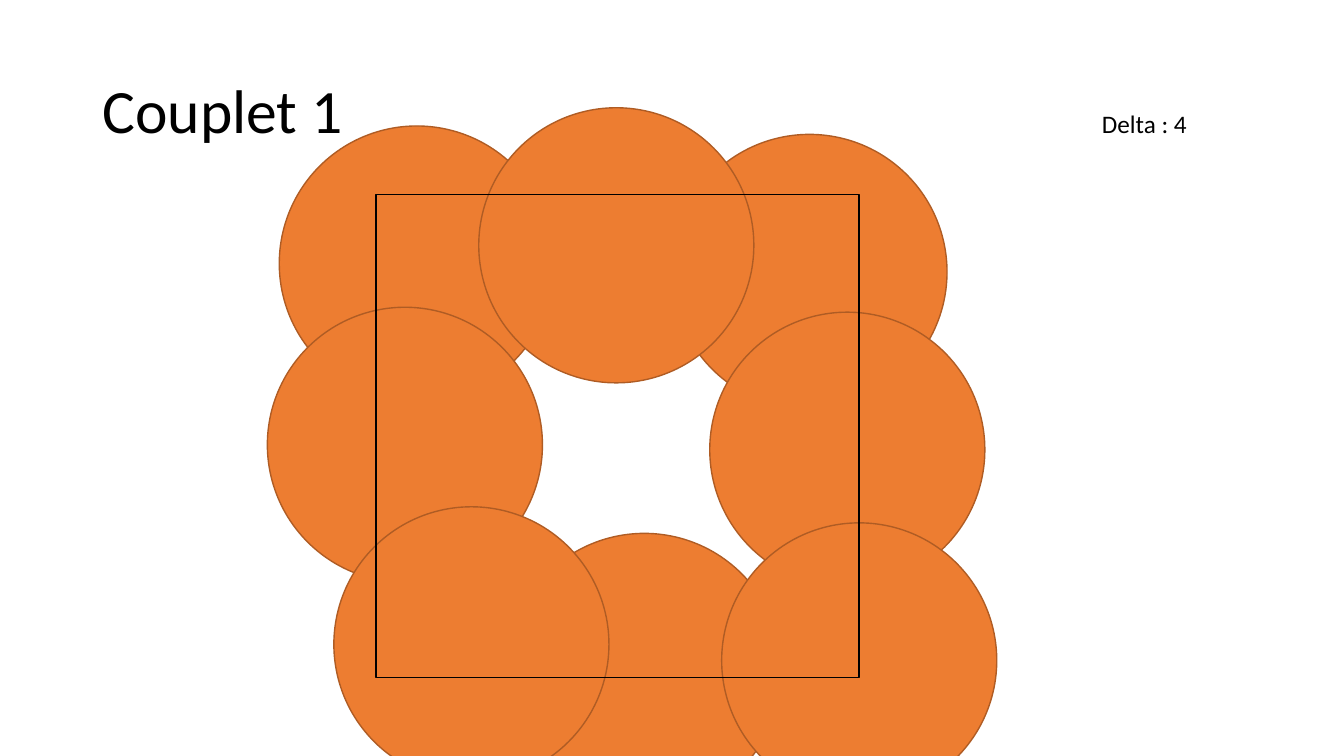
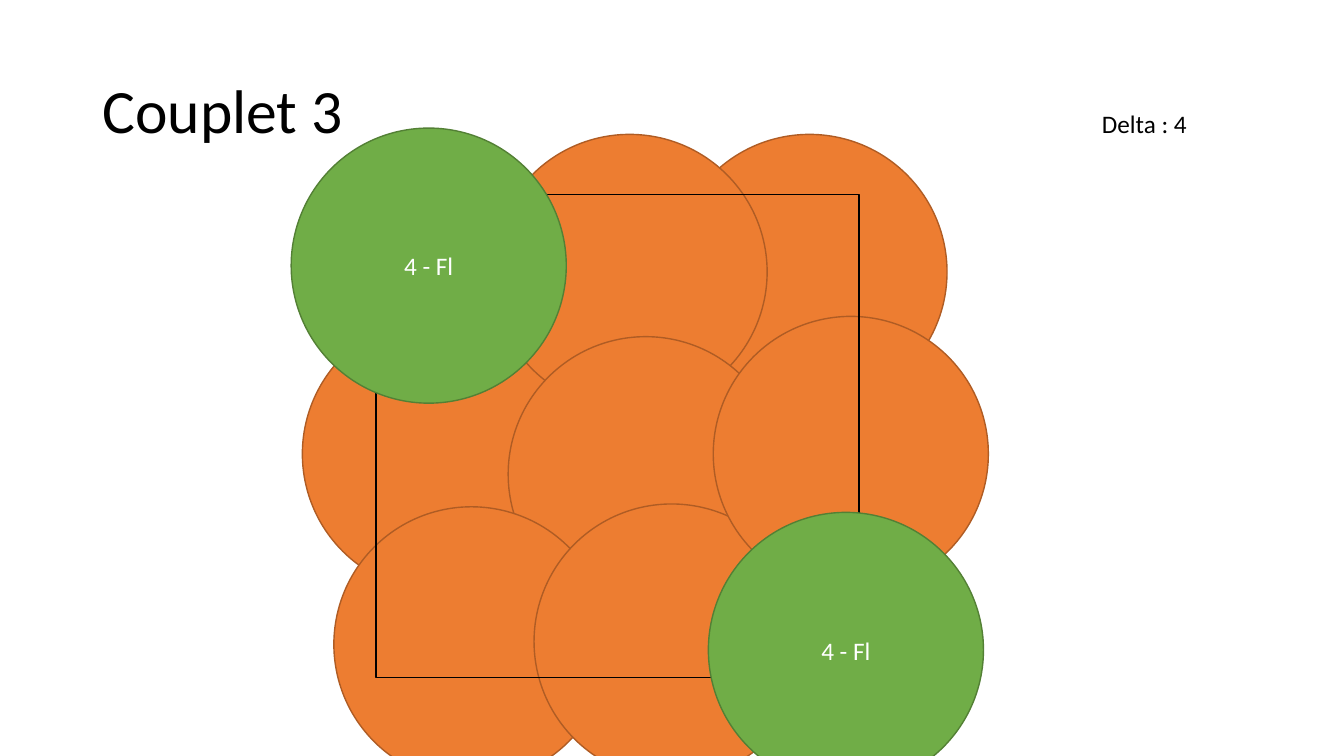
from pptx import Presentation
from pptx import util as u
from pptx.dml import color
from pptx.enum import shapes, text

COLORS = {
    "ink": "000000",
    "orange": "ED7D31",
    "orange_edge": "AF5C24",
    "green": "70AD47",
    "green_edge": "538035",
    "white": "FFFFFF",
}
FONT = "Calibri"
SLIDE_SIZE = (960, 540)
TITLE_BOX = (66, 28.75, 828, 104.5)
DELTA_BOX = (780, 73.5, 220, 29)
TARGET_BOX = (268.5, 139, 345, 345)
DISC_SIZE = 196.5

COUPLETS = [
    {
        "title": "Couplet 1",
        "delta": "Delta : 4",
        "discs": [(93.5, 242), (-69, -49), (211.5, -43), (-77.5, 80.5),
                  (73.5, -62), (-30, 223), (238.5, 84), (247, 234.5)],
        "labelled": [],
    },
    {
        "title": "Couplet 3",
        "delta": "Delta : 4",
        "discs": [(-52.5, 87), (211.5, -43), (83, -43), (94.5, 101.5),
                  (-30, 223), (113, 221), (241, 87)],
        "labelled": [(-60.5, -47.5, "4 - Fl"), (237.5, 227, "4 - Fl")],
    },
]


def rgb(name):
    return color.RGBColor.from_string(COLORS[name])


def points(box):
    return [u.Pt(length) for length in box]


def write(frame, wording, size, ink, align):
    frame.text = wording
    paragraph = frame.paragraphs[0]
    paragraph.alignment = align
    font = paragraph.runs[0].font
    font.name, font.size = FONT, u.Pt(size)
    font.color.rgb = rgb(ink)
    return paragraph


def add_outline(slide, kind, box, edge, fill=None):
    outline = slide.shapes.add_shape(kind, *points(box))
    outline.shadow.inherit = False
    if fill:
        outline.fill.solid()
        outline.fill.fore_color.rgb = rgb(fill)
    else:
        outline.fill.background()
    outline.line.color.rgb = rgb(edge)
    outline.line.width = u.Pt(1)
    return outline


def add_disc(slide, box, left, top, tone, label=None):
    place = (box[0] + left, box[1] + top, DISC_SIZE, DISC_SIZE)
    disc = add_outline(slide, shapes.MSO_SHAPE.OVAL, place, tone + "_edge", tone)
    if label:
        disc.text_frame.vertical_anchor = text.MSO_ANCHOR.MIDDLE
        write(disc.text_frame, label, 18, "white", text.PP_ALIGN.CENTER)


def add_title(slide, box, wording):
    title = slide.shapes.title
    title.left, title.top, title.width, title.height = points(box)
    title.text_frame.vertical_anchor = text.MSO_ANCHOR.MIDDLE
    heading = write(title.text_frame, wording, 44, "ink", text.PP_ALIGN.LEFT)
    heading.line_spacing = 0.9


def add_delta(slide, box, wording):
    delta = slide.shapes.add_textbox(*points(box)).text_frame
    delta.word_wrap = True
    delta.auto_size = text.MSO_AUTO_SIZE.SHAPE_TO_FIT_TEXT
    write(delta, wording, 18, "ink", text.PP_ALIGN.LEFT)


def add_target(slide, box, discs, labelled):
    for left, top in discs:
        add_disc(slide, box, left, top, "orange")
    add_outline(slide, shapes.MSO_SHAPE.RECTANGLE, box, "ink")
    for left, top, label in labelled:
        add_disc(slide, box, left, top, "green", label)


def add_couplet(deck, couplet):
    slide = deck.slides.add_slide(deck.slide_layouts[5])
    add_title(slide, TITLE_BOX, couplet["title"])
    add_target(slide, TARGET_BOX, couplet["discs"], couplet["labelled"])
    add_delta(slide, DELTA_BOX, couplet["delta"])


def main():
    deck = Presentation()
    deck.slide_width, deck.slide_height = points(SLIDE_SIZE)
    for couplet in COUPLETS:
        add_couplet(deck, couplet)
    deck.save("out.pptx")


if __name__ == "__main__":
    main()
